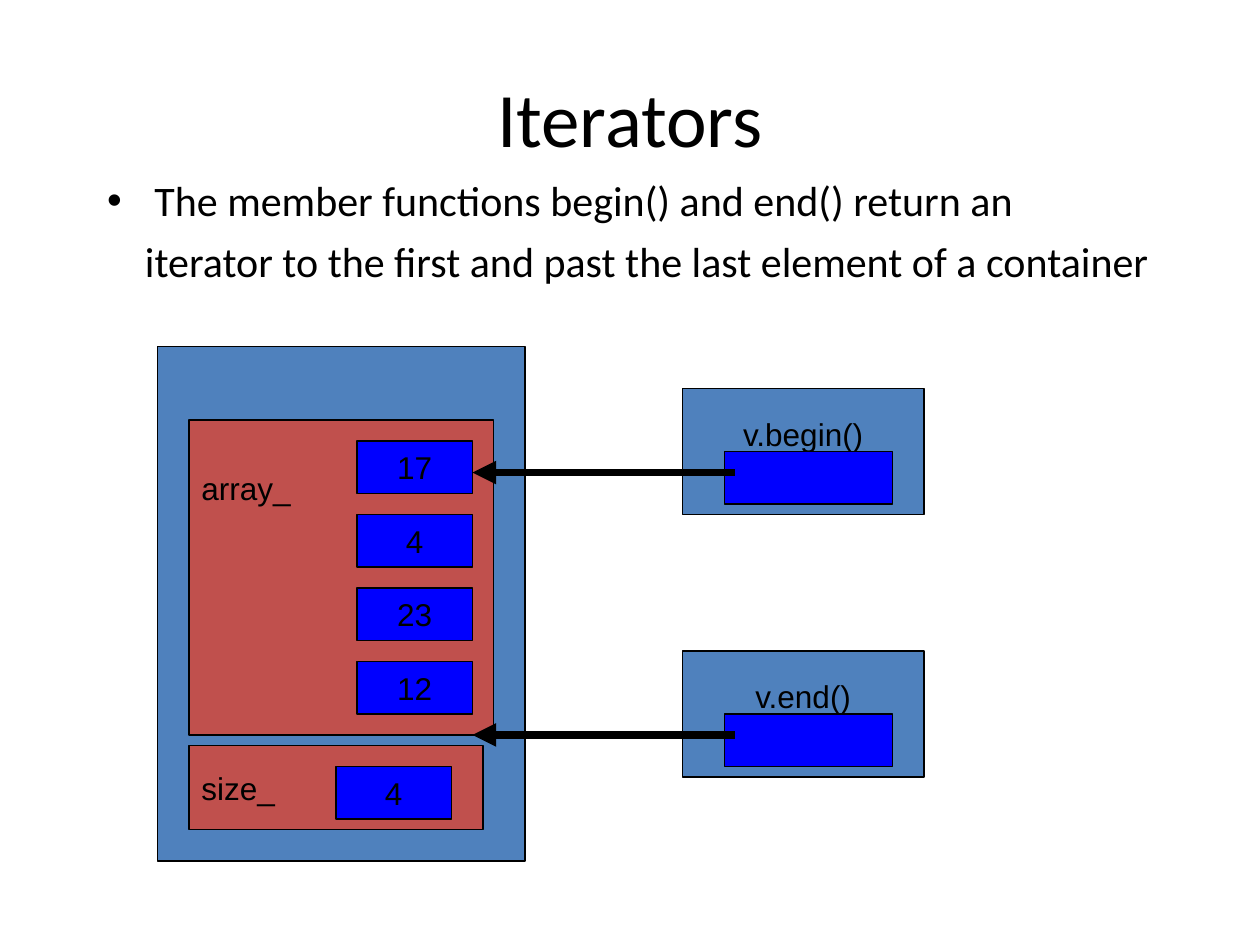
import dataclasses

import lxml.etree
import pptx
import pptx.dml.color
import pptx.enum.shapes
import pptx.enum.text
import pptx.oxml.ns
import pptx.util

Pt = pptx.util.Pt
RGB = pptx.dml.color.RGBColor
ALIGN = pptx.enum.text.PP_ALIGN
ANCHOR = pptx.enum.text.MSO_ANCHOR
qn = pptx.oxml.ns.qn


@dataclasses.dataclass(frozen=True)
class Theme:
    ink: RGB = RGB(0, 0, 0)
    frame: RGB = RGB(0x4F, 0x81, 0xBD)
    field: RGB = RGB(0xC0, 0x50, 0x4D)
    cell: RGB = RGB(0, 0, 0xFF)
    prose: str = "Calibri"
    label: str = "Arial"
    head_size: float = 44
    list_size: float = 24
    label_size: float = 18
    edge: float = 0.75
    arrow: float = 4.5


THEME = Theme()


@dataclasses.dataclass(frozen=True)
class Box:
    """A bordered rectangle; drop puts its label that far below the top edge."""
    left: float
    top: float
    width: float
    height: float
    fill: RGB
    text: str = ""
    align: ALIGN = ALIGN.CENTER
    drop: float | None = None


@dataclasses.dataclass(frozen=True)
class Pointer:
    text: str
    top: float


VALUES = ("17", "4", "23", "12")
POINTERS = (Pointer("v.end()", 372), Pointer("v.begin()", 222))
CELL_WIDTH, CELL_HEIGHT, CELL_STEP = 66, 30, 42
CELL_LEFT, CELL_TOP = 204, 252


def write(para, text: str, *, font: str, size: float, align: ALIGN, before: float = 0) -> None:
    para.alignment = align
    para.space_before = Pt(before)
    run = para.add_run()
    run.text = text
    run.font.name = font
    run.font.size = Pt(size)
    run.font.color.rgb = THEME.ink


def place(shape, left: float, top: float, width: float, height: float) -> None:
    shape.left, shape.top = Pt(left), Pt(top)
    shape.width, shape.height = Pt(width), Pt(height)


def draw_box(slide, box: Box) -> None:
    shape = slide.shapes.add_shape(
        pptx.enum.shapes.MSO_SHAPE.RECTANGLE,
        Pt(box.left), Pt(box.top), Pt(box.width), Pt(box.height))
    shape.shadow.inherit = False
    shape.fill.solid()
    shape.fill.fore_color.rgb = box.fill
    shape.line.color.rgb = THEME.ink
    shape.line.width = Pt(THEME.edge)
    if not box.text:
        return
    frame = shape.text_frame
    frame.word_wrap = False
    frame.vertical_anchor = ANCHOR.MIDDLE
    if box.drop is not None:
        frame.vertical_anchor = ANCHOR.TOP
        frame.margin_top = Pt(box.drop)
    write(frame.paragraphs[0], box.text, font=THEME.label,
          size=THEME.label_size, align=box.align)


def draw_arrow(slide, start: float, end: float, y: float) -> None:
    line = slide.shapes.add_connector(
        pptx.enum.shapes.MSO_CONNECTOR.STRAIGHT, Pt(start), Pt(y), Pt(end), Pt(y))
    line.line.color.rgb = THEME.ink
    line.line.width = Pt(THEME.arrow)
    props = line._element.spPr
    lxml.etree.SubElement(props.find(qn("a:ln")), qn("a:tailEnd"), type="triangle")
    lxml.etree.SubElement(props, qn("a:effectLst"))


def draw_pointer(slide, item: Pointer) -> None:
    draw_box(slide, Box(390, item.top, 138, 72, THEME.frame, item.text, drop=15))
    draw_box(slide, Box(414, item.top + 36, 96, CELL_HEIGHT, THEME.cell))
    draw_arrow(slide, 420, CELL_LEFT + CELL_WIDTH, item.top + 48)


def draw_vector(slide) -> None:
    draw_box(slide, Box(90, 198, 210, 294, THEME.frame))
    draw_box(slide, Box(108, 240, 174, 180, THEME.field, "array_", ALIGN.LEFT, drop=28))
    for row, value in enumerate(VALUES):
        draw_box(slide, Box(CELL_LEFT, CELL_TOP + row * CELL_STEP,
                            CELL_WIDTH, CELL_HEIGHT, THEME.cell, value))
    draw_box(slide, Box(108, 426, 168, 48, THEME.field, "size_", ALIGN.LEFT))
    draw_box(slide, Box(192, 438, CELL_WIDTH, CELL_HEIGHT, THEME.cell, str(len(VALUES))))


def indent(para, left: float, first: float, bullet: str = "") -> None:
    props = para._p.get_or_add_pPr()
    props.set("marL", str(Pt(left)))
    props.set("indent", str(Pt(first)))
    if bullet:
        lxml.etree.SubElement(props, qn("a:buChar"), char=bullet)
    else:
        lxml.etree.SubElement(props, qn("a:buNone"))


def fill_text(slide) -> None:
    title = slide.shapes.title
    place(title, 36, 21.6, 648, 90)
    title.text_frame.vertical_anchor = ANCHOR.MIDDLE
    write(title.text_frame.paragraphs[0], "Iterators", font=THEME.prose,
          size=THEME.head_size, align=ALIGN.CENTER)

    body = slide.placeholders[1]
    place(body, 54, 96, 612, 324)
    frame = body.text_frame
    frame.auto_size = pptx.enum.text.MSO_AUTO_SIZE.NONE
    first, second = frame.paragraphs[0], frame.add_paragraph()
    style = dict(font=THEME.prose, size=THEME.list_size, align=ALIGN.LEFT, before=6)
    write(first, "The member functions begin() and end() return an", **style)
    write(second, "iterator to the first and past the last element of a container", **style)
    indent(first, 27, -27, "•")
    indent(second, 21.6, 0)


def main() -> None:
    deck = pptx.Presentation()
    deck.slide_width, deck.slide_height = Pt(720), Pt(540)
    slide = deck.slides.add_slide(deck.slide_layouts[1])
    fill_text(slide)
    draw_vector(slide)
    for item in POINTERS:
        draw_pointer(slide, item)
    deck.save("out.pptx")


if __name__ == "__main__":
    main()
